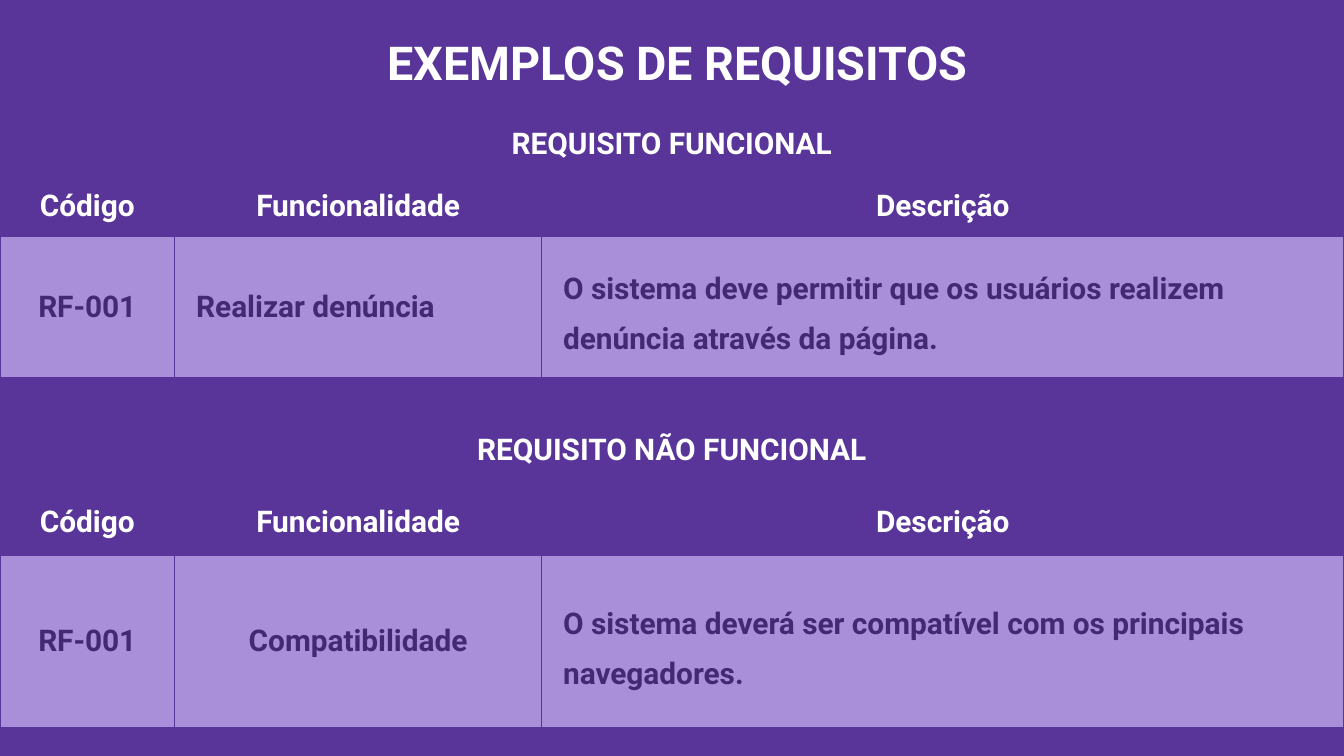
from lxml import etree
from pptx import Presentation
from pptx.dml.color import RGBColor
from pptx.enum.text import MSO_ANCHOR, MSO_AUTO_SIZE, PP_ALIGN
from pptx.oxml.ns import qn
from pptx.util import Emu, Pt

CENTER, LEFT = PP_ALIGN.CENTER, PP_ALIGN.LEFT
MIDDLE, TOP = MSO_ANCHOR.MIDDLE, MSO_ANCHOR.TOP
NO_AUTOFIT = MSO_AUTO_SIZE.NONE
TITLE_ONLY = 5

EMU_PER_PX = 4572
PURPLE, LILAC, INDIGO, WHITE = "59359A", "A98EDA", "432874", "FFFFFF"
FONT = "Roboto"
COLUMN_WIDTHS = (260, 546, 1194)
HEADERS = ("Código", "Funcionalidade", "Descrição")


def px(value):
    return Emu(value * EMU_PER_PX)


def color(value):
    return RGBColor.from_string(value)


def format_paragraph(paragraph, size, text_color, alignment):
    paragraph.alignment = alignment
    font = paragraph.font
    font.name, font.size, font.bold = FONT, Pt(size), True
    font.color.rgb = color(text_color)


def add_title(slide, box, text):
    title = slide.shapes.title
    title.left, title.top, title.width, title.height = map(px, box)
    frame = title.text_frame
    frame.text = text
    frame.auto_size = NO_AUTOFIT
    frame.vertical_anchor = TOP
    frame.margin_left = frame.margin_right = px(20)
    frame.margin_top = frame.margin_bottom = px(20)
    format_paragraph(frame.paragraphs[0], 25, WHITE, CENTER)


def set_borders(cell, line_color):
    properties = cell._tc.get_or_add_tcPr()
    for side in ("lnL", "lnR", "lnT", "lnB"):
        line = etree.SubElement(properties, qn(f"a:{side}"), w=str(Pt(0.75)))
        fill = etree.SubElement(line, qn("a:solidFill"))
        etree.SubElement(fill, qn("a:srgbClr"), val=line_color)


def format_cell(cell, text, fill_color, text_color, alignment):
    set_borders(cell, PURPLE)
    cell.fill.solid()
    cell.fill.fore_color.rgb = color(fill_color)
    cell.vertical_anchor = MIDDLE
    cell.margin_left = px(32 if alignment == LEFT else 16)
    cell.margin_right = px(16)
    cell.margin_top = cell.margin_bottom = 0
    cell.text = text
    paragraph = cell.text_frame.paragraphs[0]
    format_paragraph(paragraph, 16, text_color, alignment)
    if alignment == CENTER:
        paragraph.space_after = Pt(10)


def add_requirement_table(slide, left, top, row_heights, heading, values, alignments):
    table = slide.shapes.add_table(
        len(row_heights), len(COLUMN_WIDTHS), px(left), px(top),
        px(sum(COLUMN_WIDTHS)), px(sum(row_heights)),
    ).table
    for column, width in zip(table.columns, COLUMN_WIDTHS):
        column.width = px(width)
    for row, height in zip(table.rows, row_heights):
        row.height = px(height)

    for index, text in enumerate((heading, "", "")):
        format_cell(table.cell(0, index), text, PURPLE, WHITE, CENTER)
    table.cell(0, 0).merge(table.cell(0, 2))
    for index, text in enumerate(HEADERS):
        format_cell(table.cell(1, index), text, PURPLE, WHITE, CENTER)
    for index, (text, alignment) in enumerate(zip(values, alignments)):
        format_cell(table.cell(2, index), text, LILAC, INDIGO, alignment)
    table.cell(2, 2).text_frame.paragraphs[0].line_spacing = 1.44


def main():
    presentation = Presentation()
    presentation.slide_width, presentation.slide_height = px(2000), px(1125)
    slide = presentation.slides.add_slide(presentation.slide_layouts[TITLE_ONLY])
    slide.background.fill.solid()
    slide.background.fill.fore_color.rgb = color(PURPLE)

    add_requirement_table(
        slide, 0, 168, (94, 90, 210), "REQUISITO FUNCIONAL",
        ("RF-001", "Realizar denúncia",
         "O sistema deve permitir que os usuários realizem denúncia através da página."),
        (CENTER, LEFT, LEFT),
    )
    add_requirement_table(
        slide, 0, 613, (114, 100, 256), "REQUISITO NÃO FUNCIONAL",
        ("RF-001", "Compatibilidade",
         "O sistema deverá ser compatível com os principais navegadores."),
        (CENTER, CENTER, LEFT),
    )
    add_title(slide, (8, 30, 2000, 88), "EXEMPLOS DE REQUISITOS")
    presentation.save("out.pptx")


if __name__ == "__main__":
    main()
